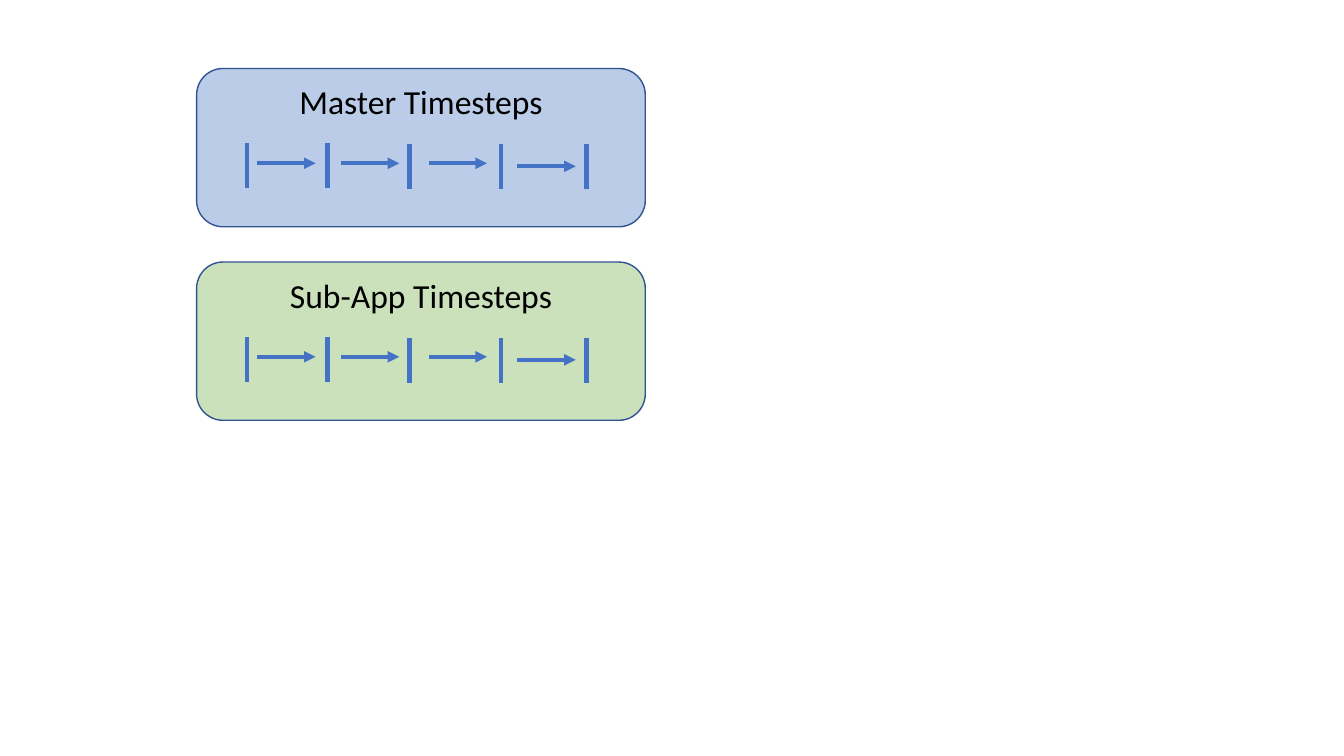
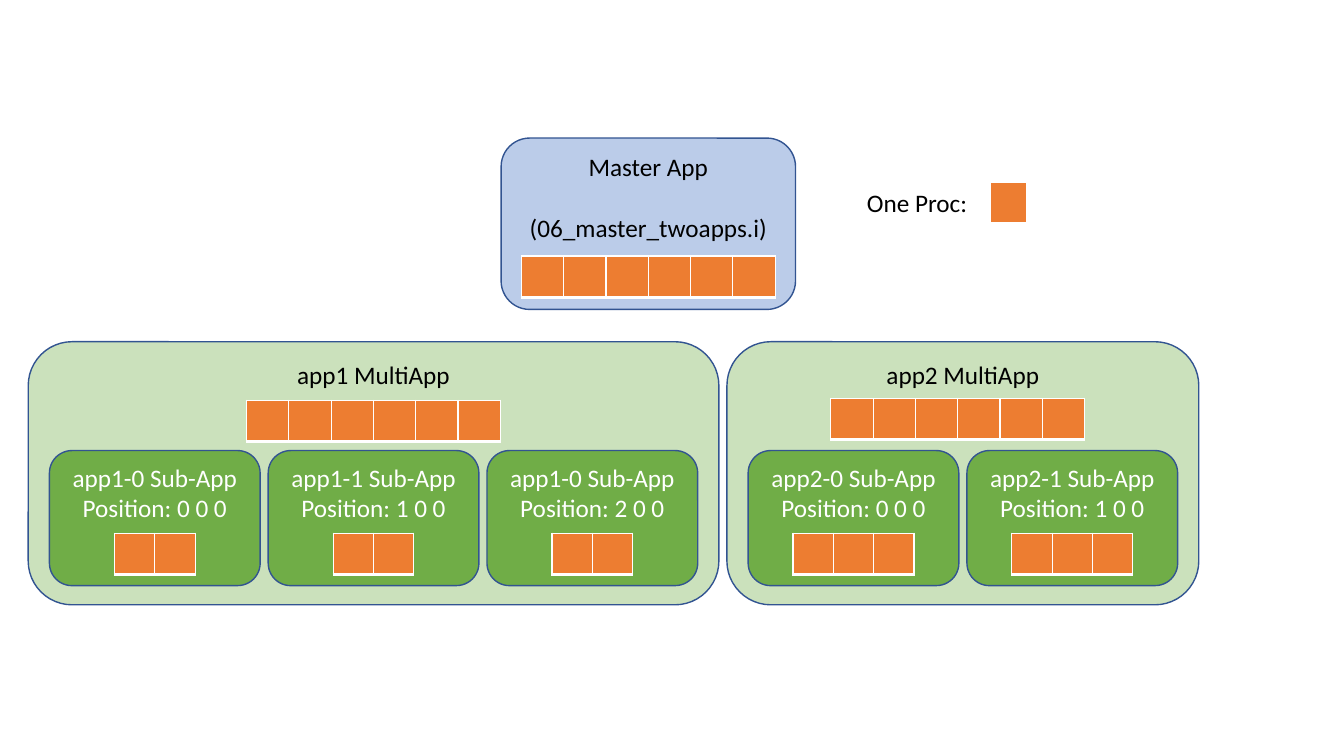
from dataclasses import dataclass
from lxml.etree import SubElement
from pptx import Presentation
from pptx.dml.color import RGBColor
from pptx.enum.shapes import MSO_CONNECTOR, MSO_SHAPE
from pptx.enum.text import MSO_ANCHOR, MSO_AUTO_SIZE, PP_ALIGN
from pptx.oxml.ns import qn
from pptx.util import Inches, Pt


@dataclass(frozen=True)
class Theme:
    font: str = "Calibri"
    heading: int = 24
    label: int = 18
    blue: str = "4472C4"
    green: str = "70AD47"
    orange: str = "ED7D31"
    outline: str = "325491"
    dark: str = "000000"
    light: str = "FFFFFF"
    tint: int = 36  # opacity of pale panels, in percent
    outline_width: float = 1
    tick_width: float = 3.25
    arrow_width: float = 2.75


@dataclass(frozen=True)
class Box:
    left: float
    top: float
    width: float
    height: float

    def inner(self, left, top, width, height):
        return Box(self.left + left, self.top + top, width, height)

    def centred(self, top, width, height, shift=0):
        return self.inner((self.width - width) / 2 + shift, top, width, height)

    def emu(self):
        return [Inches(v) for v in (self.left, self.top, self.width, self.height)]


THEME = Theme()

# Timeline, measured from the left and top of its panel
TICKS = [(0.5, 0.74), (1.3, 0.74), (2.11, 0.75), (3.02, 0.75), (3.87, 0.75)]
ARROWS = [(0.6, 0.94), (1.43, 0.94), (2.3, 0.94), (3.18, 0.97)]
TICK_HEIGHT, ARROW_LENGTH = 0.45, 0.58

# Processor cells and the sub-app columns
CELL_WIDTH, WIDE_CELL, CELL_HEIGHT = 0.4, 0.42, 0.41
MASTER_CELLS = 6
GAP, MARGIN = 0.08, 0.21
SUB_WIDTH, SUB_HEIGHT, SUB_TOP = 2.09, 1.34, 1.08


def colour(value):
    return RGBColor.from_string(value)


def write_lines(frame, lines, size, text_colour, align=PP_ALIGN.CENTER, gap=0):
    for index, line in enumerate(lines):
        paragraph = frame.paragraphs[0] if index == 0 else frame.add_paragraph()
        paragraph.text = line
        paragraph.alignment = align
        paragraph.space_before = Pt(gap if index else 0)
        paragraph.font.name = THEME.font
        paragraph.font.size = Pt(size)
        paragraph.font.color.rgb = colour(text_colour)


def add_panel(slide, box, lines, fill, size=THEME.label, text_colour=THEME.dark,
              opacity=THEME.tint, gap=0):
    shape = slide.shapes.add_shape(MSO_SHAPE.ROUNDED_RECTANGLE, *box.emu())
    shape.shadow.inherit = False
    shape.fill.solid()
    shape.fill.fore_color.rgb = colour(fill)
    if opacity < 100:
        tone = shape.fill._xPr.find(f".//{qn('a:srgbClr')}")
        SubElement(tone, qn("a:alpha")).set("val", str(opacity * 1000))
    shape.line.color.rgb = colour(THEME.outline)
    shape.line.width = Pt(THEME.outline_width)
    shape.text_frame.word_wrap = True
    shape.text_frame.vertical_anchor = MSO_ANCHOR.TOP
    write_lines(shape.text_frame, lines, size, text_colour, gap=gap)


def add_line(slide, box, width, arrow=False):
    left, top, across, down = box.emu()
    connector = slide.shapes.add_connector(
        MSO_CONNECTOR.STRAIGHT, left, top, left + across, top + down)
    connector.line.color.rgb = colour(THEME.blue)
    connector.line.width = Pt(width)
    if arrow:
        SubElement(connector.line._get_or_add_ln(), qn("a:tailEnd")).set("type", "triangle")
    SubElement(connector._element.spPr, qn("a:effectLst"))


def add_cell_borders(cell):
    properties = cell._tc.get_or_add_tcPr()
    for side, width in (("L", 1), ("R", 1), ("T", 1), ("B", 3)):
        border = SubElement(properties, qn(f"a:ln{side}"), w=str(Pt(width)))
        fill = SubElement(border, qn("a:solidFill"))
        SubElement(fill, qn("a:srgbClr"), val=THEME.light)


def add_processors(slide, box, count):
    table = slide.shapes.add_table(1, count, *box.emu()).table
    table.first_row = table.horz_banding = False
    for cell in table.iter_cells():
        add_cell_borders(cell)
        cell.fill.solid()
        cell.fill.fore_color.rgb = colour(THEME.orange)


def add_centred_processors(slide, box, count, top, shift=0):
    cell_width = WIDE_CELL if count == MASTER_CELLS else CELL_WIDTH
    add_processors(slide, box.centred(top, count * cell_width, CELL_HEIGHT, shift), count)


# Panel with a row of time steps
def timeline_panel(slide, box, title, fill):
    add_panel(slide, box, [title], fill, THEME.heading)
    for left, top in TICKS:
        add_line(slide, box.inner(left, top, 0, TICK_HEIGHT), THEME.tick_width)
    for left, top in ARROWS:
        add_line(slide, box.inner(left, top, ARROW_LENGTH, 0), THEME.arrow_width, arrow=True)


# Master app with all its processors
def master_panel(slide, box):
    add_panel(slide, box, ["Master App", "(06_master_twoapps.i)"], THEME.blue, gap=22)
    add_centred_processors(slide, box, MASTER_CELLS, 1.17)


# Group of sub-apps that share the processors
def multiapp_panel(slide, box, name, sub_apps, strip_top, strip_shift=0):
    add_panel(slide, box, [f"{name} MultiApp"], THEME.green)
    add_centred_processors(slide, box, MASTER_CELLS, strip_top, strip_shift)
    for column, sub_app in enumerate(sub_apps):
        sub_box = box.inner(MARGIN + column * (SUB_WIDTH + GAP), SUB_TOP,
                            SUB_WIDTH, SUB_HEIGHT)
        lines = [f"{sub_app} Sub-App", f"Position: {column} 0 0"]
        add_panel(slide, sub_box, lines, THEME.green, text_colour=THEME.light, opacity=100)
        add_centred_processors(slide, sub_box, MASTER_CELLS // len(sub_apps), 0.82)


# Key to the processor cell
def processor_key(slide, box):
    add_processors(slide, box.inner(1.32, 0, 0.36, CELL_HEIGHT), 1)
    label = slide.shapes.add_textbox(*box.inner(0, 0, 1.21, 0.4).emu())
    label.text_frame.word_wrap = False
    label.text_frame.auto_size = MSO_AUTO_SIZE.SHAPE_TO_FIT_TEXT
    write_lines(label.text_frame, ["One Proc:"], THEME.label, THEME.dark, PP_ALIGN.LEFT)


def timesteps_slide(slide):
    panels = [("Master Timesteps", THEME.blue), ("Sub-App Timesteps", THEME.green)]
    for row, (title, fill) in enumerate(panels):
        timeline_panel(slide, Box(1.95, 0.68 + row * 1.92, 4.45, 1.57), title, fill)


def processors_slide(slide):
    master_panel(slide, Box(4.97, 1.37, 2.92, 1.7))
    groups = [("app1", ["app1-0", "app1-1", "app1-0"], 0.58, 0),
              ("app2", ["app2-0", "app2-1"], 0.56, -0.05)]
    left = 0.28
    for name, sub_apps, strip_top, strip_shift in groups:
        width = 2 * MARGIN + len(sub_apps) * (SUB_WIDTH + GAP) - GAP
        multiapp_panel(slide, Box(left, 3.39, width, 2.61), name, sub_apps,
                       strip_top, strip_shift)
        left += width + GAP
    processor_key(slide, Box(8.5, 1.81, 1.68, 0.41))


presentation = Presentation()
presentation.slide_width, presentation.slide_height = Inches(13.33), Inches(7.5)
blank_layout = presentation.slide_layouts[6]
for build_slide in (timesteps_slide, processors_slide):
    build_slide(presentation.slides.add_slide(blank_layout))
presentation.save("out.pptx")
